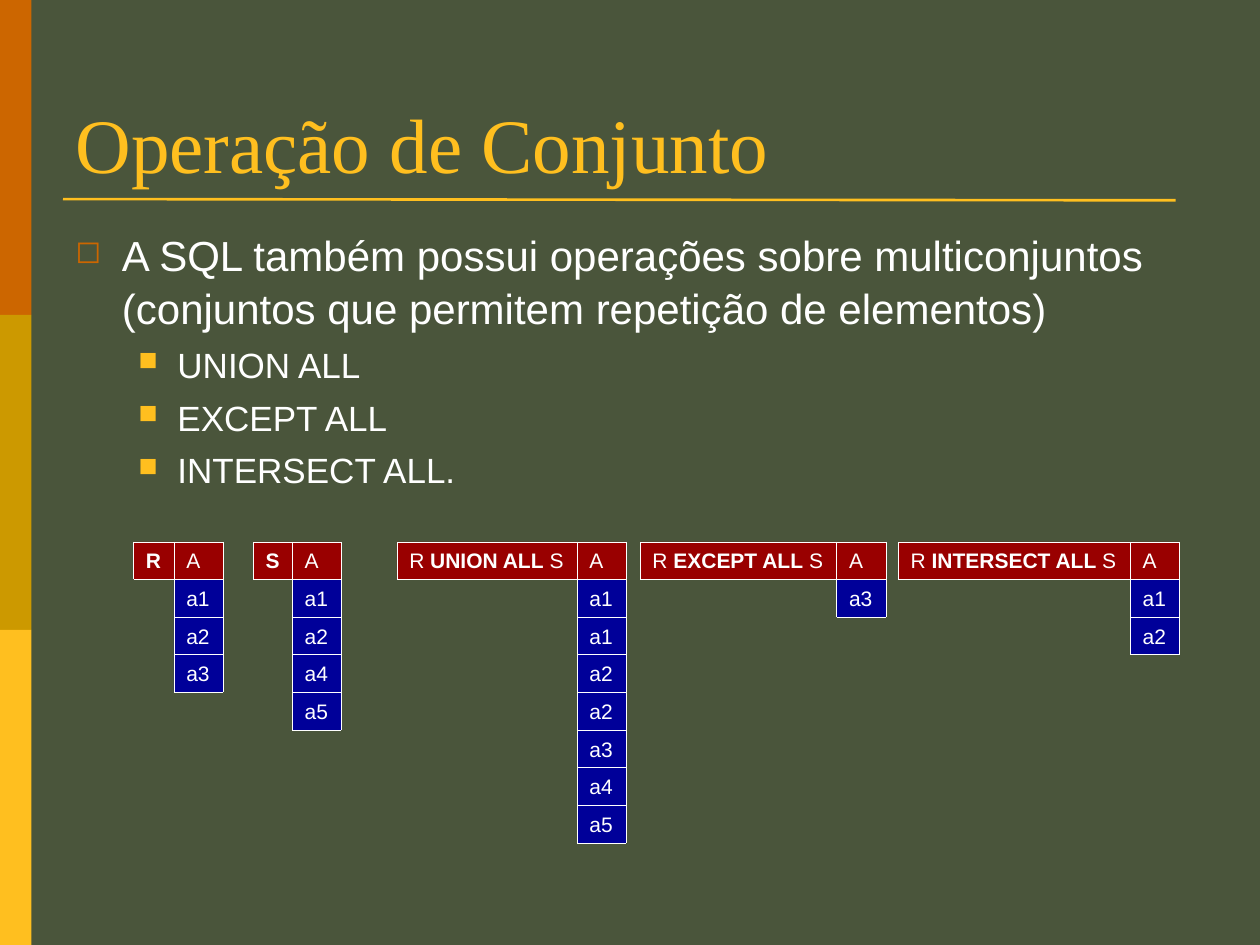
from pptx import Presentation
from pptx.dml.color import RGBColor
from pptx.enum.shapes import MSO_CONNECTOR, MSO_SHAPE
from pptx.enum.text import MSO_ANCHOR, PP_ALIGN
from pptx.oxml.ns import qn
from pptx.util import Inches, Pt
from lxml import etree

RECTANGLE = MSO_SHAPE.RECTANGLE
STRAIGHT = MSO_CONNECTOR.STRAIGHT
TOP, BOTTOM = MSO_ANCHOR.TOP, MSO_ANCHOR.BOTTOM
LEFT = PP_ALIGN.LEFT

WIDTH, HEIGHT = 10, 7.5
OLIVE, ORANGE, OCHRE, GOLD = "4A553B", "CC6600", "CC9900", "FFBF1F"
HEADER_RED, VALUE_BLUE, WHITE = "990000", "000099", "FFFFFF"

TABLE_TOP = 4.3
ROW_HEIGHT = 2.39 / 8
VALUE_WIDTH = 0.39

# Left edge, label width, label runs as (text, bold), values of column A
RELATIONS = [
    (1.06, 0.32, [("R", True)], ["a1", "a2", "a3"]),
    (2.01, 0.31, [("S", True)], ["a1", "a2", "a4", "a5"]),
    (3.15, 1.43, [("R ", False), ("UNION ALL", True), (" S", False)],
     ["a1", "a1", "a2", "a2", "a3", "a4", "a5"]),
    (5.08, 1.56, [("R ", False), ("EXCEPT ALL", True), (" S", False)], ["a3"]),
    (7.13, 1.84, [("R ", False), ("INTERSECT ALL ", True), ("S", False)],
     ["a1", "a2"]),
]

# Text, level, font size, space before
BULLETS = [
    ("A SQL também possui operações sobre multiconjuntos "
     "(conjuntos que permitem repetição de elementos)", 0, 24, 0),
    ("UNION ALL", 1, 20, 5),
    ("EXCEPT ALL", 1, 20, 5),
    ("INTERSECT ALL.", 1, 20, 5),
]
# Character, colour, left margin, hanging indent for each level
BULLET_STYLES = [("◻", ORANGE, 0.37, 0.37), ("■", GOLD, 0.81, 0.31)]


def color(hex_string):
    return RGBColor.from_string(hex_string)


def format_font(font, size, hex_color, name="Arial", bold=False):
    font.name = name
    font.size = Pt(size)
    font.bold = bold
    font.color.rgb = color(hex_color)


def add_rectangle(shapes, left, top, width, height, fill):
    shape = shapes.add_shape(RECTANGLE, Inches(left), Inches(top),
                             Inches(width), Inches(height))
    shape.shadow.inherit = False
    shape.fill.solid()
    shape.fill.fore_color.rgb = color(fill)
    shape.line.fill.background()
    return shape


def add_line(shapes, start, end, hex_color, width):
    line = shapes.add_connector(STRAIGHT, *map(Inches, start + end))
    line.line.color.rgb = color(hex_color)
    line.line.width = Pt(width)
    properties = line._element.find(qn("p:spPr"))
    etree.SubElement(properties, qn("a:effectLst"))


def add_cell(shapes, left, row, width, fill, runs):
    top = TABLE_TOP + row * ROW_HEIGHT
    cell = add_rectangle(shapes, left, top, width, ROW_HEIGHT, fill)
    cell.text_frame.vertical_anchor = TOP
    paragraph = cell.text_frame.paragraphs[0]
    paragraph.alignment = LEFT
    for text, bold in runs:
        run = paragraph.add_run()
        run.text = text
        format_font(run.font, 12, WHITE, bold=bold)


def add_relation(slide, left, label_width, label, values):
    """Draw a header row with the label and column A, and the values below A."""
    shapes = slide.shapes.add_group_shape().shapes
    middle = left + label_width
    right = middle + VALUE_WIDTH
    add_cell(shapes, left, 0, label_width, HEADER_RED, label)
    add_cell(shapes, middle, 0, VALUE_WIDTH, HEADER_RED, [("A", False)])
    for row, value in enumerate(values, 1):
        add_cell(shapes, middle, row, VALUE_WIDTH, VALUE_BLUE, [(value, False)])

    row_count = len(values) + 1
    edges = [TABLE_TOP + row * ROW_HEIGHT for row in range(row_count + 1)]
    for row, y in enumerate(edges):
        add_line(shapes, (left if row < 2 else middle, y), (right, y), WHITE, 0.25)
    for x, last in ((left, 1), (middle, row_count), (right, row_count)):
        add_line(shapes, (x, TABLE_TOP), (x, edges[last]), WHITE, 0.25)


def set_bullet(paragraph, level):
    character, hex_color, margin, indent = BULLET_STYLES[level]
    properties = paragraph._p.get_or_add_pPr()
    properties.set("marL", str(Inches(margin)))
    properties.set("indent", str(-Inches(indent)))
    bullet_color = etree.SubElement(properties, qn("a:buClr"))
    etree.SubElement(bullet_color, qn("a:srgbClr"), val=hex_color)
    etree.SubElement(properties, qn("a:buSzPct"), val="75000")
    etree.SubElement(properties, qn("a:buChar"), char=character)


def add_bullets(slide):
    box = slide.shapes.add_textbox(Inches(0.5), Inches(1.75), Inches(9), Inches(2.2))
    frame = box.text_frame
    frame.word_wrap = True
    for index, (text, level, size, space) in enumerate(BULLETS):
        paragraph = frame.add_paragraph() if index else frame.paragraphs[0]
        paragraph.text = text
        paragraph.level = level
        paragraph.space_before = Pt(space)
        paragraph.line_spacing = 1.05
        set_bullet(paragraph, level)
        format_font(paragraph.runs[0].font, size, WHITE)


def add_title(slide, text):
    title = slide.shapes.title
    title.left, title.top = Inches(0.5), Inches(0.3)
    title.width, title.height = Inches(9), Inches(1.25)
    title.text_frame.text = text
    title.text_frame.vertical_anchor = BOTTOM
    paragraph = title.text_frame.paragraphs[0]
    paragraph.alignment = LEFT
    format_font(paragraph.runs[0].font, 44, GOLD, "Times New Roman")


def add_decoration(slide):
    band_height = HEIGHT / 3
    for index, fill in enumerate((ORANGE, OCHRE, GOLD)):
        add_rectangle(slide.shapes, 0, index * band_height, 0.25, band_height, fill)
    add_line(slide.shapes, (0.5, 1.58), (9.33, 1.59), GOLD, 1.5)


def main():
    presentation = Presentation()
    presentation.slide_width = Inches(WIDTH)
    presentation.slide_height = Inches(HEIGHT)
    slide = presentation.slides.add_slide(presentation.slide_layouts[5])
    slide.background.fill.solid()
    slide.background.fill.fore_color.rgb = color(OLIVE)
    add_decoration(slide)
    add_title(slide, "Operação de Conjunto")
    add_bullets(slide)
    for relation in RELATIONS:
        add_relation(slide, *relation)
    presentation.save("out.pptx")


if __name__ == "__main__":
    main()
